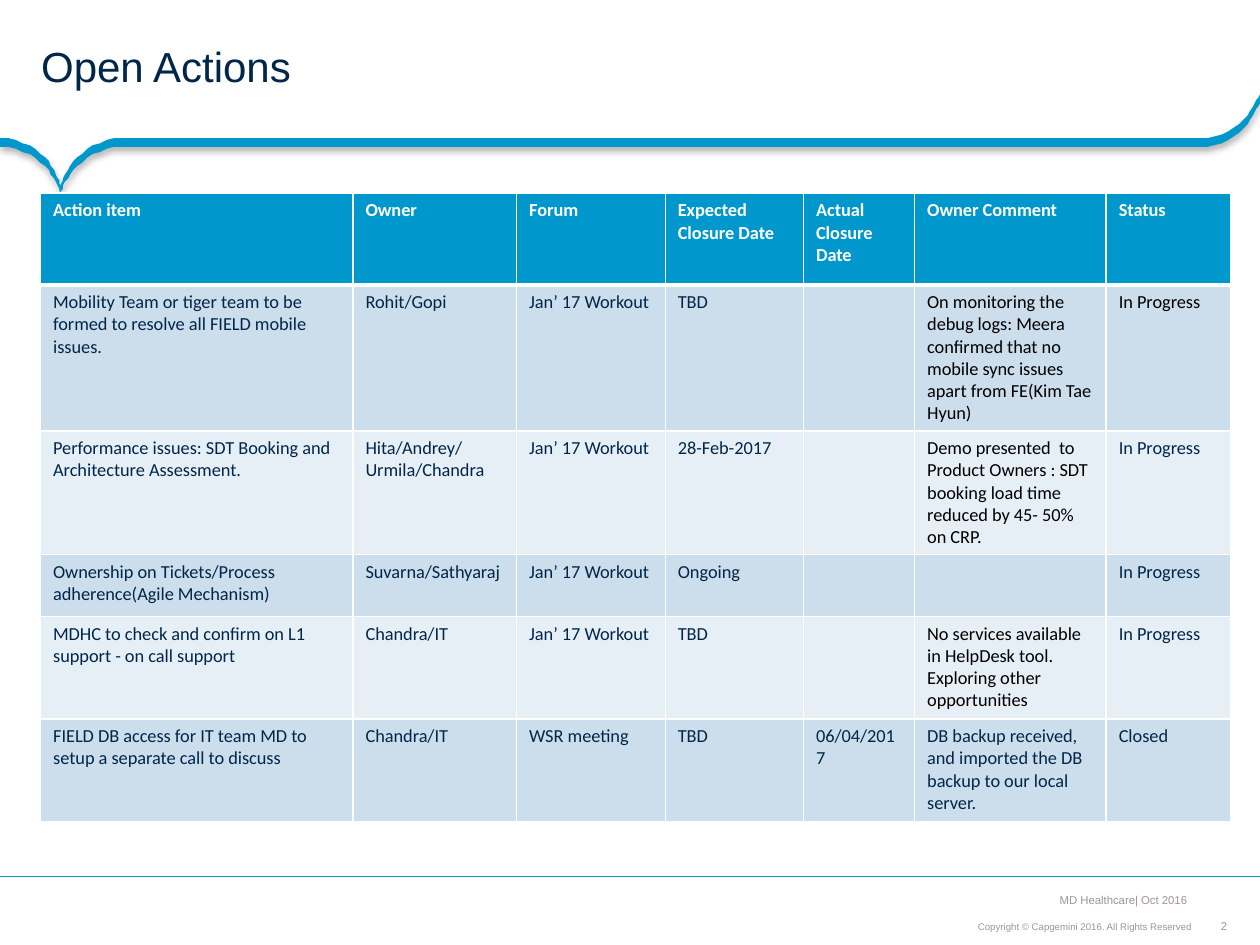
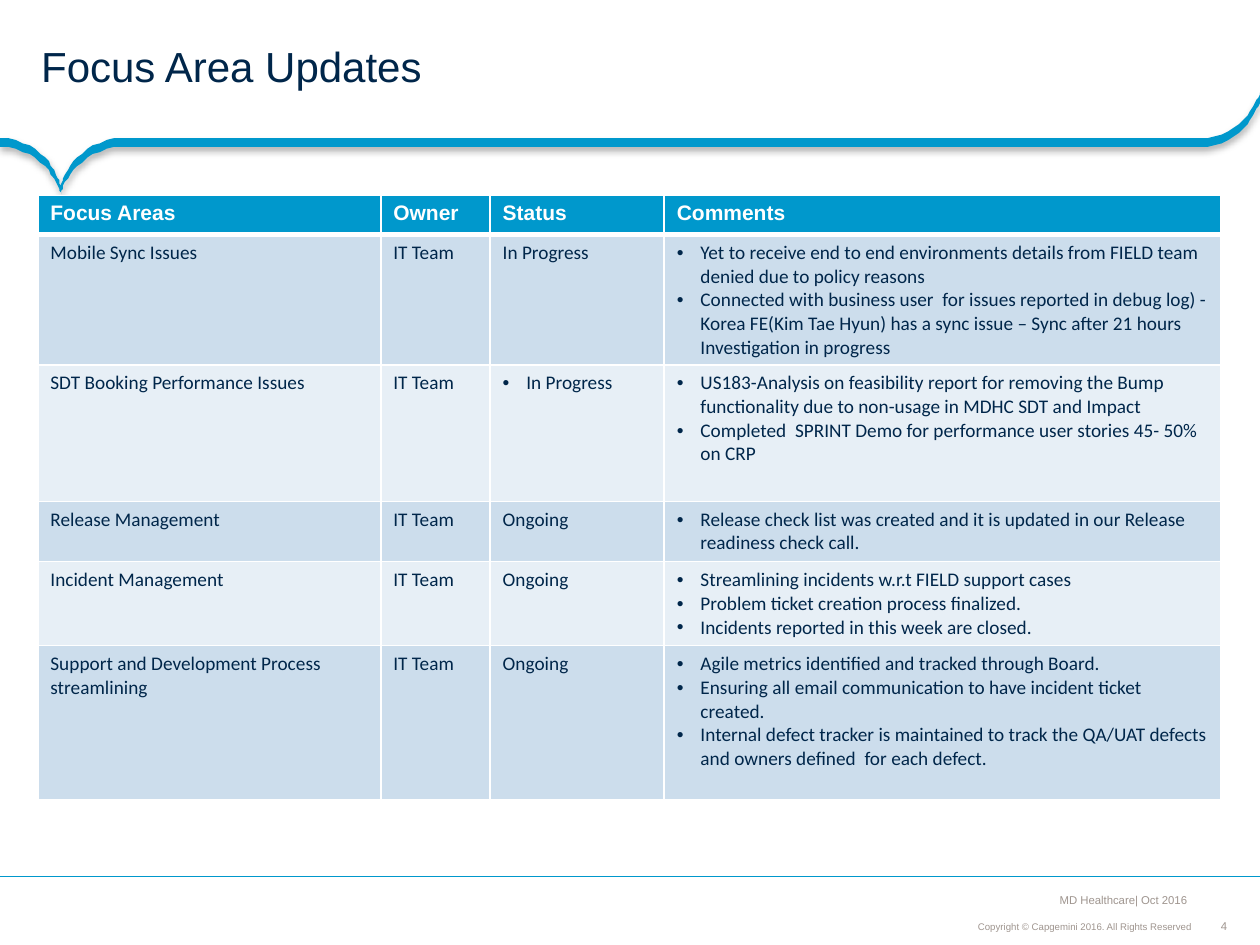
from lxml import etree
from pptx import Presentation
from pptx.dml.color import RGBColor
from pptx.enum import shapes, text
from pptx.oxml import ns
from pptx.util import Pt

BLUE = RGBColor(0x00, 0x98, 0xCC)
NAVY = RGBColor(0x00, 0x26, 0x4A)
GREY = RGBColor(0x9F, 0x95, 0x8F)
WHITE = RGBColor(0xFF, 0xFF, 0xFF)
BLACK = RGBColor(0x00, 0x00, 0x00)
STRIPES = RGBColor(0xCC, 0xDD, 0xEC), RGBColor(0xE7, 0xEF, 0xF6)
HEADING_FONT = "Arial"
BODY_FONT = "Calibri"

WIDTH, HEIGHT = 720, 540
TITLE_HEIGHT = 79.2
BULLET_INDENT = 13.5
CURVE_STEPS = 16

# Cubic curves of the ribbon: start, two controls, end
RIBBON_CURVES = [
    [(70, 79.2), (42.5, 79.2), (34.8, 105.8), (34.8, 105.8)],
    [(34.8, 105.8), (34.8, 105.8), (27.4, 79.2), (0, 79.2)],
    [(0, 84.2), (27.4, 84.2), (34.8, 110.6), (34.8, 110.6)],
    [(34.8, 110.6), (34.8, 110.6), (42.5, 84.2), (70, 84.2)],
    [(684.8, 84.2), (712, 84.2), (720, 58.3), (720, 58.3)],
    [(720, 53.3), (720, 53.3), (712, 79.2), (684.8, 79.2)],
]


def add_xml(parent, tag, **attributes):
    return etree.SubElement(parent, ns.qn(tag), attributes)


def curve_points(start, control_1, control_2, end):
    for step in range(CURVE_STEPS + 1):
        t = step / CURVE_STEPS
        s = 1 - t
        yield tuple(s**3 * a + 3 * s * s * t * b + 3 * s * t * t * c + t**3 * d
                    for a, b, c, d in zip(start, control_1, control_2, end))


class Deck:
    def __init__(self):
        self.presentation = Presentation()
        self.presentation.slide_width = Pt(WIDTH)
        self.presentation.slide_height = Pt(HEIGHT)
        self.slide = None

    def add_slide(self, heading, number):
        layout = self.presentation.slide_layouts[5]
        self.slide = self.presentation.slides.add_slide(layout)
        self.add_ribbon()
        self.add_rule(501)
        self.add_label("MD Healthcare| Oct 2016 ", 544.3, 506.2, 139, 15, 6.5, wrap=False)
        self.add_label("Copyright © Capgemini 2016. All Rights Reserved",
                       490.3, 521.3, 193.7, 14.4, 5.5)
        self.add_label(number, 695.5, 524.9, 8, 8, 6.5, wrap=False, inset=0,
                       align=text.PP_ALIGN.CENTER, anchor=text.MSO_ANCHOR.MIDDLE)
        self.add_title(heading)

    def style(self, paragraph, size, color, font=HEADING_FONT, bold=False):
        for run in paragraph.runs:
            run.font.size = Pt(size)
            run.font.name = font
            run.font.bold = bold
            run.font.color.rgb = color

    def add_title(self, heading):
        title = self.slide.shapes.title
        title.left, title.top, title.width, title.height = (
            Pt(0), Pt(0), Pt(WIDTH), Pt(TITLE_HEIGHT))
        frame = title.text_frame
        frame.text = heading
        frame.auto_size = text.MSO_AUTO_SIZE.NONE
        frame.vertical_anchor = text.MSO_ANCHOR.MIDDLE
        frame.margin_left, frame.margin_right = Pt(23.5), Pt(13)
        frame.margin_top = frame.margin_bottom = Pt(3)
        paragraph = frame.paragraphs[0]
        paragraph.alignment = text.PP_ALIGN.LEFT
        paragraph.line_spacing = 0.85
        self.style(paragraph, 24, NAVY)

    def add_ribbon(self):
        points = [point for curve in RIBBON_CURVES for point in curve_points(*curve)]
        builder = self.slide.shapes.build_freeform(*points[0], scale=Pt(1))
        builder.add_line_segments(points[1:], close=True)
        ribbon = builder.convert_to_shape()
        ribbon.fill.solid()
        ribbon.fill.fore_color.rgb = BLUE
        ribbon.line.fill.background()
        ribbon.shadow.inherit = False
        effects = ribbon._element.spPr.find(ns.qn("a:effectLst"))
        shadow = add_xml(effects, "a:outerShdw", blurRad=str(Pt(4)), dist=str(Pt(2)),
                         dir="5400000", algn="t", rotWithShape="0")
        add_xml(add_xml(shadow, "a:srgbClr", val=str(BLACK)), "a:alpha", val="31000")

    def add_rule(self, top):
        rule = self.slide.shapes.add_connector(
            shapes.MSO_CONNECTOR.STRAIGHT, Pt(WIDTH), Pt(top), Pt(0), Pt(top))
        rule.line.color.rgb = BLUE
        rule.line.width = Pt(0.75)
        add_xml(rule._element.spPr, "a:effectLst")

    def add_label(self, words, left, top, width, height, size, wrap=True, inset=3,
                  align=text.PP_ALIGN.RIGHT, anchor=text.MSO_ANCHOR.BOTTOM):
        frame = self.slide.shapes.add_textbox(
            Pt(left), Pt(top), Pt(width), Pt(height)).text_frame
        frame.text = words
        frame.word_wrap = wrap
        frame.vertical_anchor = anchor
        frame.margin_left = frame.margin_right = Pt(inset)
        frame.margin_top = frame.margin_bottom = Pt(inset)
        frame.paragraphs[0].alignment = align
        self.style(frame.paragraphs[0], size, GREY)

    def add_table(self, left, top, widths, heights, rows, header_style, body_size,
                  black_cells=()):
        """Fill a striped table; a list in a cell becomes bullets."""
        table = self.slide.shapes.add_table(
            len(rows), len(widths), Pt(left), Pt(top),
            Pt(sum(widths)), Pt(sum(heights))).table
        for column, width in zip(table.columns, widths):
            column.width = Pt(width)
        for row, height in zip(table.rows, heights):
            row.height = Pt(height)
        for r, row in enumerate(rows):
            for c, content in enumerate(row):
                cell = table.cell(r, c)
                self.add_borders(cell, 3 if r == 0 else 1, 3 if r == 1 else 1)
                cell.fill.solid()
                cell.fill.fore_color.rgb = STRIPES[(r - 1) % 2] if r else BLUE
                bulleted = isinstance(content, list)
                cell.text_frame.text = "\n".join(content) if bulleted else content
                for paragraph in cell.text_frame.paragraphs:
                    if bulleted:
                        self.add_bullet(paragraph)
                    if r == 0:
                        self.style(paragraph, *header_style, bold=True)
                    else:
                        color = BLACK if (r, c) in black_cells else NAVY
                        self.style(paragraph, body_size, color, BODY_FONT)

    def add_borders(self, cell, bottom, top):
        properties = cell._tc.get_or_add_tcPr()
        for side, width in zip("LRTB", (1, 1, top, bottom)):
            border = add_xml(properties, f"a:ln{side}", w=str(Pt(width)))
            add_xml(add_xml(border, "a:solidFill"), "a:srgbClr", val=str(WHITE))

    def add_bullet(self, paragraph):
        properties = paragraph._p.get_or_add_pPr()
        properties.set("marL", str(Pt(BULLET_INDENT)))
        properties.set("indent", str(Pt(-BULLET_INDENT)))
        add_xml(properties, "a:buFont", typeface=HEADING_FONT)
        add_xml(properties, "a:buChar", char="•")


OPEN_ACTIONS = [
    ("Action item", "Owner", "Forum", "Expected Closure Date", "Actual Closure Date",
     "Owner Comment", "Status"),
    ("Mobility Team or tiger team to be formed to resolve all FIELD mobile issues.",
     "Rohit/Gopi", "Jan’ 17 Workout", "TBD", "",
     "On monitoring the debug logs: Meera confirmed that no mobile sync issues "
     "apart from FE(Kim Tae Hyun)", "In Progress"),
    ("Performance issues: SDT Booking and Architecture Assessment.",
     "Hita/Andrey/Urmila/Chandra", "Jan’ 17 Workout", "28-Feb-2017", "",
     "Demo presented  to Product Owners : SDT booking load time reduced by "
     "45- 50%  on CRP.", "In Progress"),
    ("Ownership on Tickets/Process adherence(Agile Mechanism)",
     "Suvarna/Sathyaraj", "Jan’ 17 Workout", "Ongoing", "", "", "In Progress"),
    ("MDHC to check and confirm on L1 support - on call support",
     "Chandra/IT", "Jan’ 17 Workout", "TBD", "",
     "No services available in HelpDesk tool. Exploring other opportunities",
     "In Progress"),
    ("FIELD DB access for IT team MD to setup a separate call to discuss",
     "Chandra/IT", "WSR meeting", "TBD", "06/04/2017",
     "DB backup received, and imported the DB backup to our local server.", "Closed"),
]

FOCUS_AREAS = [
    ("Focus Areas", "Owner", "Status", "Comments"),
    ("Mobile Sync Issues", "IT Team", "In Progress", [
        "Yet to receive end to end environments details from FIELD team denied due to "
        "policy reasons",
        "Connected with business user  for issues reported in debug log) - Korea "
        "FE(Kim Tae Hyun) has a sync issue – Sync after 21 hours Investigation in "
        "progress"]),
    ("SDT Booking Performance Issues", "IT Team", ["In Progress"], [
        "US183-Analysis on feasibility report for removing the Bump functionality due "
        "to non-usage in MDHC SDT and Impact",
        "Completed  SPRINT Demo for performance user stories 45- 50% on CRP"]),
    ("Release Management", "IT Team", "Ongoing", [
        "Release check list was created and it is updated in our Release readiness "
        "check call."]),
    ("Incident Management", "IT Team", "Ongoing", [
        "Streamlining incidents w.r.t FIELD support cases",
        "Problem ticket creation process finalized.",
        "Incidents reported in this week are closed."]),
    ("Support and Development Process streamlining", "IT Team", "Ongoing", [
        "Agile metrics identified and tracked through Board.",
        "Ensuring all email communication to have incident ticket created.",
        "Internal defect tracker is maintained to track the QA/UAT defects and owners "
        "defined  for each defect."]),
]


def main():
    deck = Deck()
    deck.add_slide("Open Actions", "2")
    deck.add_table(23.2, 110.3, [178.5, 93.5, 85, 79, 63.5, 109.5, 71],
                   [52.5, 83.5, 70.5, 35.5, 58.5, 59], OPEN_ACTIONS,
                   (10.5, WHITE, BODY_FONT), 10.5,
                   black_cells={(1, 5), (1, 6), (2, 5), (4, 5)})
    deck.add_slide("Focus Area Updates", "4")
    deck.add_table(21.6, 111.7, [196, 62.5, 99.5, 318],
                   [22.3, 74.5, 78, 34.5, 48, 88], FOCUS_AREAS,
                   (12, WHITE, HEADING_FONT), 11)
    deck.presentation.save("out.pptx")


if __name__ == "__main__":
    main()
